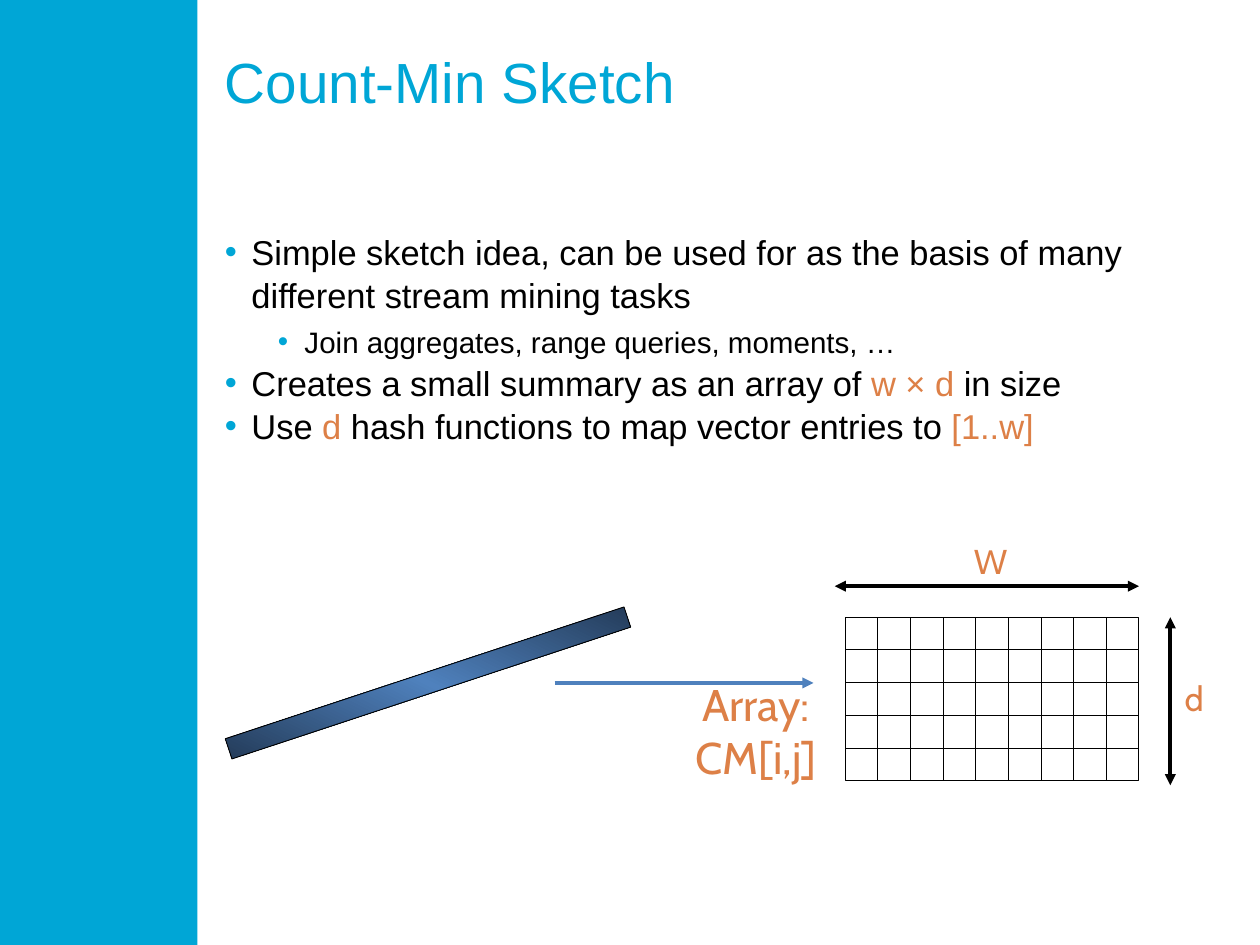
from copy import deepcopy

from lxml import etree
from pptx import Presentation
from pptx import util as u
from pptx.dml.color import RGBColor
from pptx.enum import shapes, text
from pptx.oxml import ns

CYAN = RGBColor(0x00, 0xA6, 0xD6)
BLACK = RGBColor(0x00, 0x00, 0x00)
ORANGE = RGBColor(0xDD, 0x80, 0x47)
BLUE = RGBColor(0x4F, 0x81, 0xBD)
NAVY = RGBColor(0x24, 0x3C, 0x5A)

POINTS = [
    (0, [("Simple sketch idea, can be used for as the basis of many "
          "different stream mining tasks", BLACK)]),
    (1, [("Join aggregates, range queries, moments, …", BLACK)]),
    (0, [("Creates a small summary as an array of ", BLACK),
         ("w × d ", ORANGE), ("in size", BLACK)]),
    (0, [("Use ", BLACK), ("d", ORANGE),
         (" hash functions to map vector entries to ", BLACK),
         ("[1..w]", ORANGE)]),
]


def add(parent, tag, **attrs):
    """Append a DrawingML element and return it."""
    node = etree.SubElement(parent, ns.qn(tag))
    for key, val in attrs.items():
        node.set(key, str(val))
    return node


def put_rect(tree, box):
    """Add a flat rectangle that fills the box."""
    rect = tree.add_shape(shapes.MSO_SHAPE.RECTANGLE, *map(u.Cm, box))
    rect.shadow.inherit = False
    return rect


def put_line(tree, ends, color=BLACK, width=0.75, tips=()):
    """Add a straight line with arrowheads at the named tips."""
    line = tree.add_connector(shapes.MSO_CONNECTOR.STRAIGHT, *map(u.Cm, ends))
    line.line.color.rgb = color
    line.line.width = u.Pt(width)
    for tip in tips:
        add(line.line._get_or_add_ln(), tip, type="triangle")
    add(line._element.spPr, "a:effectLst")


def style(run, size, color, face="Arial"):
    """Set the font of a run."""
    run.font.name = face
    run.font.size = u.Pt(size)
    run.font.color.rgb = color


def put_text(tree, box, pad=(0, 0)):
    """Add a wrapping text box and return its frame."""
    frame = tree.add_textbox(*map(u.Cm, box)).text_frame
    frame.word_wrap = True
    frame.margin_left = frame.margin_right = u.Cm(pad[0])
    frame.margin_top = frame.margin_bottom = u.Cm(pad[1])
    return frame


def put_label(tree, box, words, size=28, wrap=False):
    """Add a centred orange label."""
    frame = put_text(tree, box, (0.36, 0.18))
    frame.word_wrap = wrap
    para = frame.paragraphs[0]
    para.text = words
    para.alignment = text.PP_ALIGN.CENTER
    style(para.runs[0], size, ORANGE, "Cabin")


def draw_side(tree, box):
    """Draw the coloured side band."""
    band = put_rect(tree, box)
    band.fill.solid()
    band.fill.fore_color.rgb = CYAN
    band.line.fill.background()


def draw_title(tree, box):
    """Write the slide title."""
    para = put_text(tree, box).paragraphs[0]
    para.text = "Count-Min Sketch"
    style(para.runs[0], 46, CYAN)


def draw_points(tree, box):
    """Write the bulleted points."""
    frame = put_text(tree, box)
    for num, (level, parts) in enumerate(POINTS):
        para = frame.add_paragraph() if num else frame.paragraphs[0]
        para.level = level
        para.line_spacing = u.Pt(35.5)
        props = para._p.get_or_add_pPr()
        props.set("marL", str(u.Cm(0.76 + 1.52 * level)))
        props.set("indent", str(u.Cm(-0.76)))
        add(add(props, "a:buClr"), "a:srgbClr", val=CYAN)
        add(props, "a:buFont", typeface="Arial")
        add(props, "a:buChar", char="•")
        for words, color in parts:
            run = para.add_run()
            run.text = words
            style(run, 28 - 4 * level, color)


def draw_grid(tree, box, cols=9, rows=5):
    """Draw the counter array as one group of cells."""
    x, y, w, h = box
    group = tree.add_group_shape().shapes
    frame = put_rect(group, box)
    frame.fill.background()
    frame.line.color.rgb = BLACK
    frame.line.width = u.Pt(0.75)
    for col in range(1, cols):
        left = x + w * col / cols
        put_line(group, (left, y, left, y + h))
    for row in range(1, rows):
        top = y + h * row / rows
        put_line(group, (x, top, x + w, top))


def draw_array(tree, box):
    """Draw the array with its two measures and its name."""
    x, y, w, h = box
    both = ("a:headEnd", "a:tailEnd")
    draw_grid(tree, box)
    put_line(tree, (x - 0.3, y - 0.89, x + w, y - 0.89), BLACK, 3, both)
    put_label(tree, (x + 3.33, y - 2.38, 1.65, 1.57), "W")
    side = x + w + 0.9
    put_line(tree, (side, y, side, y + h + 0.13), BLACK, 3, both)
    put_label(tree, (side + 0.03, y + 1.53, 1.3, 1.57), "d")
    put_label(tree, (x - 4.82, y + 1.53, 4.52, 3.45), "Array: CM[i,j]",
              36, True)


def draw_stream(tree, box):
    """Draw the tilted input vector and the arrow to the array."""
    x, y, w, h = box
    put_line(tree, (x + 9.65, y + h / 2, x + 17.07, y + h / 2), BLUE, 3,
             ("a:tailEnd",))
    bar = put_rect(tree, box)
    bar.rotation = 341.7
    bar.line.color.rgb = BLACK
    bar.line.width = u.Pt(0.75)
    bar.fill.gradient()
    bar.fill.gradient_angle = 45
    first, last = bar.fill.gradient_stops
    first.color.rgb, first.position = NAVY, 0
    last.color.rgb, last.position = BLUE, 0.5
    stops = bar._element.spPr.find(".//" + ns.qn("a:gsLst"))
    end = deepcopy(stops[0])
    end.set("pos", "100000")
    stops.append(end)


def main():
    """Build the slide and save it."""
    deck = Presentation()
    deck.slide_width, deck.slide_height = u.Cm(36.12), u.Cm(27.1)
    tree = deck.slides.add_slide(deck.slide_layouts[6]).shapes
    draw_side(tree, (0, 0, 5.66, 27.1))
    draw_title(tree, (6.45, 1.35, 27.81, 4.19))
    draw_points(tree, (6.45, 6.55, 27.81, 19))
    draw_array(tree, (24.23, 17.7, 8.42, 4.69))
    draw_stream(tree, (6.25, 19.28, 12.04, 0.61))
    deck.save("out.pptx")


if __name__ == "__main__":
    main()
